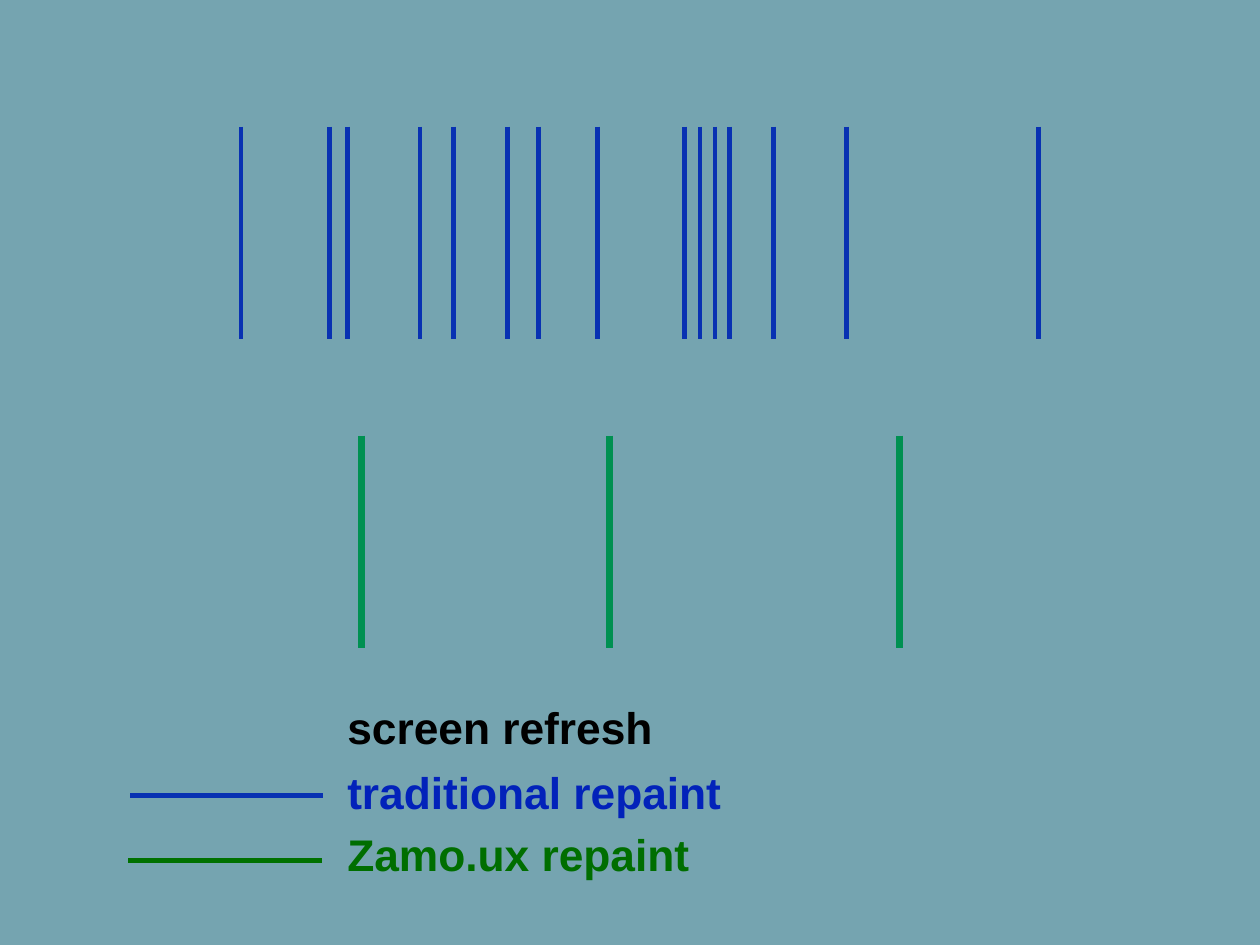
from lxml import etree
from pptx import Presentation
from pptx.dml.color import RGBColor
from pptx.enum import shapes, text
from pptx.oxml import ns
from pptx.util import Inches, Pt

COLOURS = {
    "background": "75A4B0",
    "refresh text": "000000",
    "traditional line": "0831B2",
    "traditional text": "0222BA",
    "synced tick": "009051",
    "synced line": "007100",
    "synced text": "006E00",
}
TRADITIONAL_TIMES = [2.72, 3.72, 3.92, 4.74, 5.12, 5.73, 6.08, 6.74,
                     7.73, 7.9, 8.07, 8.23, 8.73, 9.55, 11.72]
SYNCED_TIMES = [4.08, 6.88, 10.15]
# Wording, text colour, line colour, text top, line left and line height in the legend
LEGEND = [
    ("screen refresh", "refresh text", None, 0, None, None),
    ("traditional repaint", "traditional text", "traditional line", 0.73, 0.02, 1.13),
    ("Zamo.ux repaint", "synced text", "synced line", 1.44, 0, 1.87),
]


def colour(name):
    return RGBColor.from_string(COLOURS[name])


def add_line(slide, start, end, colour_name, width):
    points = [Inches(value) for value in (*start, *end)]
    line = slide.shapes.add_connector(shapes.MSO_CONNECTOR.STRAIGHT, *points)
    line.line.color.rgb = colour(colour_name)
    line.line.width = Pt(width)
    etree.SubElement(line._element.spPr, ns.qn("a:effectLst"))


def add_timeline(slide, top, height, times, colour_name, width):
    """Draw one vertical tick for each repaint."""
    for left in times:
        add_line(slide, (left, top), (left, top + height), colour_name, width)


def add_label(slide, left, top, width, height, wording, colour_name):
    box = slide.shapes.add_textbox(*map(Inches, (left, top, width, height)))
    frame = box.text_frame
    frame.word_wrap = True
    frame.vertical_anchor = text.MSO_ANCHOR.MIDDLE
    frame.margin_left = frame.margin_right = Inches(0.06)
    frame.margin_top = frame.margin_bottom = Inches(0.06)
    paragraph = frame.paragraphs[0]
    paragraph.text = wording
    paragraph.font.name = "Arial"
    paragraph.font.size = Pt(36)
    paragraph.font.bold = True
    paragraph.font.color.rgb = colour(colour_name)


def add_legend(slide, left, top, width):
    label_left, line_length = 2.41, 2.18
    for wording, text_colour, line_colour, label_top, line_left, line_top in LEGEND:
        add_label(slide, left + label_left, top + label_top,
                  width - label_left, 0.71, wording, text_colour)
        if line_colour:
            start = left + line_left
            add_line(slide, (start, top + line_top),
                     (start + line_length, top + line_top), line_colour, 4)


def main():
    presentation = Presentation()
    presentation.slide_width = Inches(14.22)
    presentation.slide_height = Inches(10.67)
    slide = presentation.slides.add_slide(presentation.slide_layouts[6])
    slide.background.fill.solid()
    slide.background.fill.fore_color.rgb = colour("background")

    add_timeline(slide, 1.43, 2.4, TRADITIONAL_TIMES, "traditional line", 4)
    add_timeline(slide, 4.92, 2.4, SYNCED_TIMES, "synced tick", 6)
    add_legend(slide, 1.45, 7.85, 9.25)
    presentation.save("out.pptx")


if __name__ == "__main__":
    main()
